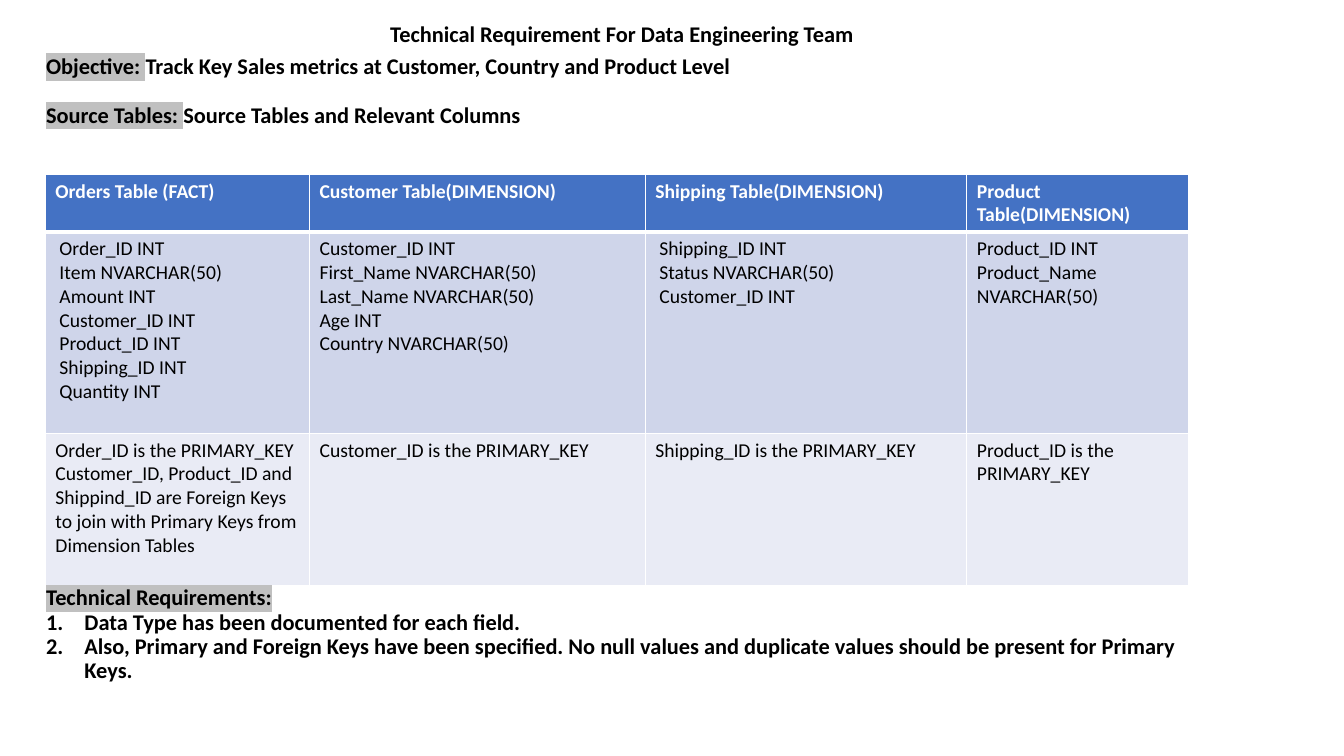
from dataclasses import dataclass

import lxml.etree
import pptx
import pptx.dml.color
import pptx.enum.text
import pptx.oxml
import pptx.oxml.ns
import pptx.util

Inches = pptx.util.Inches
Pt = pptx.util.Pt
qn = pptx.oxml.ns.qn


@dataclass(frozen=True)
class Theme:
    """Colours and type sizes of the slide."""
    font: str = "Calibri"
    heading_size: int = 16
    table_size: int = 14
    ink: str = "000000"
    paper: str = "FFFFFF"
    marker: str = "C0C0C0"
    row_fills: tuple = ("4472C4", "CFD5EA", "E9EBF5")
    line_spacing: float = 0.9
    list_indent: float = 0.38
    cell_margin: float = 0.1
    column_margin: float = 0.14


THEME = Theme()
TITLE = "Technical Requirement For Data Engineering Team"
INTRODUCTION = [
    ("Objective: ", "Track Key Sales metrics at Customer, Country and Product Level"),
    ("Source Tables: ", "Source Tables and Relevant Columns"),
]
REQUIREMENTS = [
    "Data Type has been documented for each field.",
    "Also, Primary and Foreign Keys have been specified. No null values and "
    "duplicate values should be present for Primary Keys.",
]
COLUMN_WIDTHS = (2.62, 3.33, 3.19, 2.2)
ROW_HEIGHTS = (0.57, 2.0, 1.51)
INDENTED_COLUMNS = (0, 2)
TABLE_ROWS = [
    ["Orders Table (FACT)", "Customer Table(DIMENSION)",
     "Shipping Table(DIMENSION)", "Product Table(DIMENSION)"],
    ["Order_ID INT\nItem NVARCHAR(50)\nAmount INT\nCustomer_ID INT\n"
     "Product_ID INT\nShipping_ID INT\nQuantity INT",
     "Customer_ID INT\nFirst_Name NVARCHAR(50)\nLast_Name NVARCHAR(50)\n"
     "Age INT\nCountry NVARCHAR(50)",
     "Shipping_ID INT\nStatus NVARCHAR(50)\nCustomer_ID INT",
     "Product_ID INT\nProduct_Name NVARCHAR(50)"],
    ["Order_ID is the PRIMARY_KEY\nCustomer_ID, Product_ID and Shippind_ID are "
     "Foreign Keys to join with Primary Keys from Dimension Tables",
     "Customer_ID is the PRIMARY_KEY", "Shipping_ID is the PRIMARY_KEY",
     "Product_ID is the PRIMARY_KEY"],
]


def rgb(value):
    """Turn a hex string into a colour."""
    return pptx.dml.color.RGBColor.from_string(value)


def style_span(span, size, colour, bold):
    """Set the font of one run."""
    span.font.name = THEME.font
    span.font.size = Pt(size)
    span.font.bold = bold
    span.font.color.rgb = rgb(colour)


def add_span(para, text, marked=False):
    """Add a bold heading run, marked in grey on request."""
    span = para.add_run()
    span.text = text
    style_span(span, THEME.heading_size, THEME.ink, True)
    if marked:
        properties = span.font._element
        highlight = properties.makeelement(qn("a:highlight"), {})
        lxml.etree.SubElement(highlight, qn("a:srgbClr"), val=THEME.marker)
        properties.find(qn("a:solidFill")).addnext(highlight)


def add_frame(page, box):
    """Add a wrapping text box without vertical insets and return its frame."""
    frame = page.shapes.add_textbox(*(Inches(length) for length in box)).text_frame
    frame.word_wrap = True
    frame.margin_top = frame.margin_bottom = 0
    return frame


def next_para(frame, first):
    """Return the first paragraph or a new one, with the line spacing set."""
    para = frame.paragraphs[0] if first else frame.add_paragraph()
    para.line_spacing = THEME.line_spacing
    return para


def add_title(page, box):
    """Place the centred title."""
    frame = add_frame(page, box)
    frame.vertical_anchor = pptx.enum.text.MSO_ANCHOR.MIDDLE
    para = next_para(frame, True)
    para.alignment = pptx.enum.text.PP_ALIGN.CENTER
    add_span(para, TITLE)


def add_introduction(page, box):
    """Place the labelled lines above the table."""
    frame = add_frame(page, box)
    for index, (label, statement) in enumerate(INTRODUCTION):
        para = next_para(frame, index == 0)
        if index:
            para.space_before = Pt(17.5)
        add_span(para, label, marked=True)
        add_span(para, statement)


def add_requirements(page, box):
    """Place the numbered list under its marked label."""
    frame = add_frame(page, box)
    add_span(next_para(frame, True), "Technical Requirements:", marked=True)
    for requirement in REQUIREMENTS:
        para = next_para(frame, False)
        add_span(para, requirement)
        properties = para._p.get_or_add_pPr()
        indent = Inches(THEME.list_indent)
        properties.set("marL", str(indent))
        properties.set("indent", str(-indent))
        lxml.etree.SubElement(properties, qn("a:buFont"), typeface="+mj-lt")
        lxml.etree.SubElement(properties, qn("a:buAutoNum"), type="arabicPeriod")


def add_borders(cell, widths):
    """Draw white cell borders, given as left, right, top and bottom widths."""
    properties = cell._tc.get_or_add_tcPr()
    for index, (side, width) in enumerate(zip("LRTB", widths)):
        line = properties.makeelement(qn(f"a:ln{side}"), {"w": str(Pt(width))})
        fill = lxml.etree.SubElement(line, qn("a:solidFill"))
        lxml.etree.SubElement(fill, qn("a:srgbClr"), val=THEME.paper)
        properties.insert(index, line)


def fill_cell(cell, row, column, text):
    """Write and format one table cell."""
    indented = row == 1 and column in INDENTED_COLUMNS
    cell.margin_left = Inches(THEME.column_margin if indented else THEME.cell_margin)
    cell.text_frame.text = text
    for para in cell.text_frame.paragraphs:
        for span in para.runs:
            colour = THEME.ink if row else THEME.paper
            style_span(span, THEME.table_size, colour, row == 0)
    cell.fill.solid()
    cell.fill.fore_color.rgb = rgb(THEME.row_fills[row])
    add_borders(cell, (1, 1, 3 if row == 1 else 1, 3 if row == 0 else 1))


def add_source_table(page, left, top):
    """Place the table of source columns and keys."""
    size = (sum(COLUMN_WIDTHS), sum(ROW_HEIGHTS))
    table = page.shapes.add_table(
        len(ROW_HEIGHTS), len(COLUMN_WIDTHS),
        *(Inches(length) for length in (left, top, *size))).table
    for column, width in zip(table.columns, COLUMN_WIDTHS):
        column.width = Inches(width)
    for row, height in zip(table.rows, ROW_HEIGHTS):
        row.height = Inches(height)
    for row, texts in enumerate(TABLE_ROWS):
        for column, text in enumerate(texts):
            fill_cell(table.cell(row, column), row, column, text)


def main():
    """Build and save the deck."""
    deck = pptx.Presentation()
    deck.slide_width, deck.slide_height = Inches(13.33), Inches(7.5)
    page = deck.slides.add_slide(deck.slide_layouts[6])
    add_title(page, (0.42, 0.12, 11.5, 0.46))
    add_introduction(page, (0.36, 0.55, 11.5, 0.75))
    add_source_table(page, 0.45, 1.73)
    add_requirements(page, (0.36, 5.82, 11.5, 1))
    deck.save("out.pptx")


if __name__ == "__main__":
    main()
